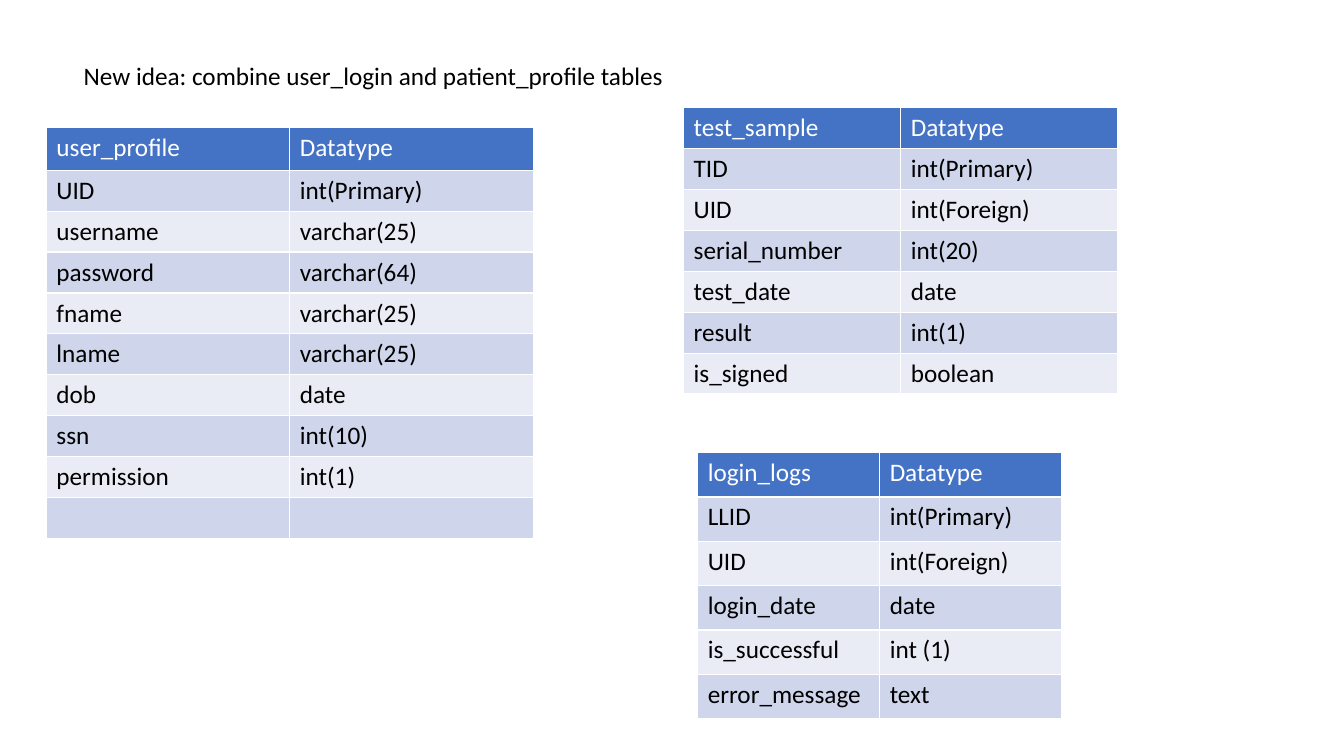
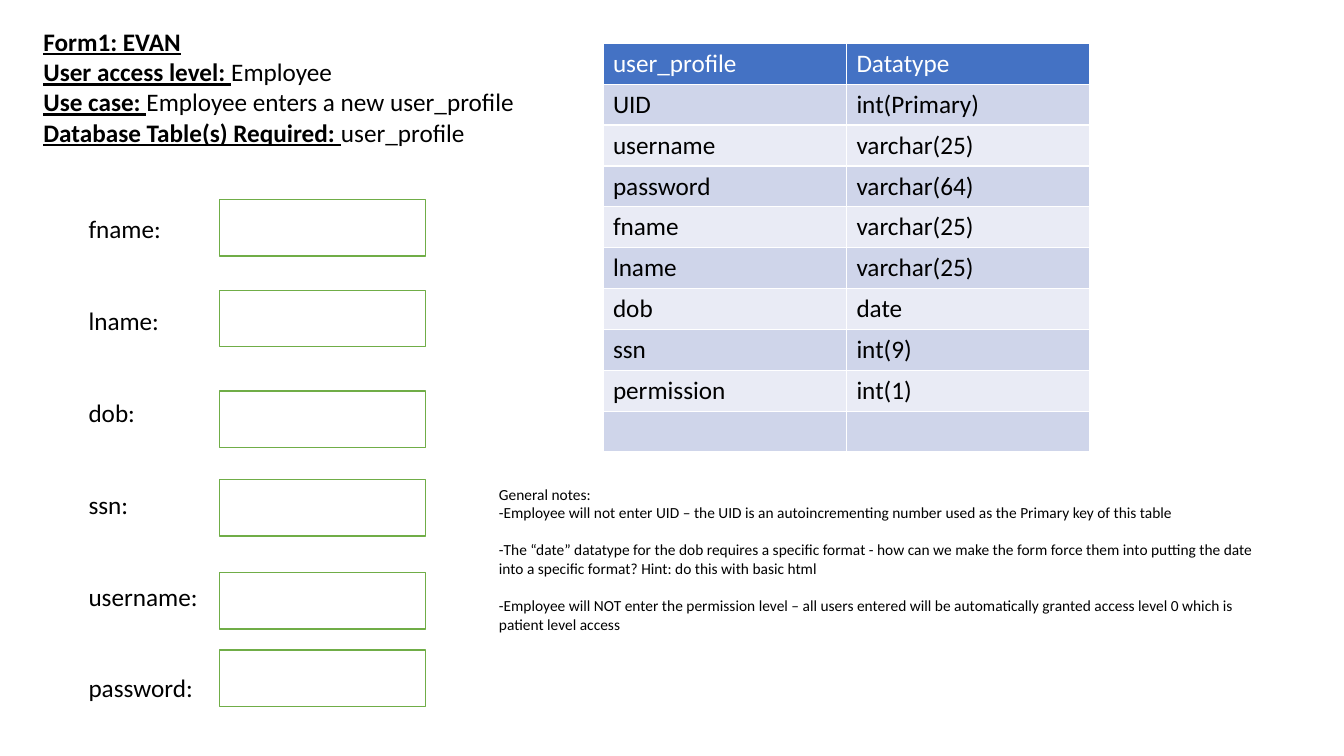
from pptx import Presentation
from pptx.dml.color import RGBColor
from pptx.enum.shapes import MSO_SHAPE
from pptx.enum.text import MSO_ANCHOR, MSO_AUTO_SIZE, PP_ALIGN
from pptx.util import Inches, Pt

# Shared style
FONT = "Calibri"
BLACK, WHITE = "000000", "FFFFFF"
HEADER_BLUE, FIELD_GREEN = "4472C4", "70AD47"
ROW_BANDS = ["E9EBF5", "CFD5EA"]


def rgb(value):
    return RGBColor.from_string(value)


def write(frame, lines, size=18, color=BLACK, gaps=None):
    """Each line is a (lead, rest) pair with an emphasised lead, or a plain string."""
    frame.word_wrap = True
    frame.auto_size = MSO_AUTO_SIZE.NONE
    frame.vertical_anchor = MSO_ANCHOR.TOP
    for index, line in enumerate(lines):
        paragraph = frame.paragraphs[0] if index == 0 else frame.add_paragraph()
        paragraph.alignment = PP_ALIGN.LEFT
        paragraph.space_before = Pt(gaps[index] if gaps else 0)
        lead, rest = ("", line) if isinstance(line, str) else line
        for text, emphasised in ((lead, True), (rest, False)):
            if text:
                run = paragraph.add_run()
                run.text = text
                run.font.name = FONT
                run.font.size = Pt(size)
                run.font.color.rgb = rgb(color)
                run.font.bold = run.font.underline = emphasised


# Database tables
def user_profile(ssn_type):
    return [
        ("UID", "int(Primary)"), ("username", "varchar(25)"),
        ("password", "varchar(64)"), ("fname", "varchar(25)"),
        ("lname", "varchar(25)"), ("dob", "date"), ("ssn", ssn_type),
        ("permission", "int(1)"), ("", ""),
    ]


login_logs = [
    ("LLID", "int(Primary)"), ("UID", "int(Foreign)"), ("login_date", "date"),
    ("is_successful", "int (1)"), ("error_message", "text"),
]
test_sample = [
    ("TID", "int(Primary)"), ("UID", "int(Foreign)"),
    ("serial_number", "int(20)"), ("test_date", "date"),
    ("result", "int(1)"), ("is_signed", "boolean"),
]

prs = Presentation()
prs.slide_width, prs.slide_height = Inches(13.33), Inches(7.5)

# Slides with their headings
headings = [
    ((0.73, 0.55, 10.36, 0.71),
     ["New idea: combine user_login and patient_profile tables"]),
    ((0.33, 0.21, 9.78, 1.31),
     [("Form1: EVAN", ""),
      ("User access level: ", "Employee"),
      ("Use case: ", "Employee enters a new user_profile"),
      ("Database Table(s) Required: ", "user_profile")]),
]
for box, lines in headings:
    slide = prs.slides.add_slide(prs.slide_layouts[5])
    heading = slide.shapes.title
    heading.left, heading.top, heading.width, heading.height = map(Inches, box)
    write(heading.text_frame, lines)
schema, form = prs.slides

# Schema tables: slide, name, rows, left, top, width, header height, row height
placements = [
    (schema, "user_profile", user_profile("int(10)"), 0.46, 1.26, 4.83, 0.43, 0.4),
    (schema, "login_logs", login_logs, 6.92, 4.49, 3.61, 0.44, 0.44),
    (schema, "test_sample", test_sample, 6.78, 1.07, 4.31, 0.4, 0.4),
    (form, "user_profile", user_profile("int(9)"), 5.98, 0.43, 4.83, 0.4, 0.4),
]
for slide, name, fields, left, top, width, header_height, row_height in placements:
    rows = [(name, "Datatype")] + fields
    height = header_height + row_height * len(fields)
    table = slide.shapes.add_table(
        len(rows), 2, Inches(left), Inches(top), Inches(width), Inches(height)).table
    for r, row in enumerate(rows):
        table.rows[r].height = Inches(row_height if r else header_height)
        for c, text in enumerate(row):
            cell = table.cell(r, c)
            cell.fill.solid()
            cell.fill.fore_color.rgb = rgb(ROW_BANDS[r % 2] if r else HEADER_BLUE)
            if text:
                write(cell.text_frame, [text], color=BLACK if r else WHITE)

# Form labels, two line heights apart
labels = ["fname:", "lname:", "dob:", "ssn:", "username:", "password:"]
label_box = form.shapes.add_textbox(Inches(0.78), Inches(2.07), Inches(2.04), Inches(4.95))
write(label_box.text_frame, labels, gaps=[0] + [44] * (len(labels) - 1))

# Form input fields
for top in (1.98, 2.88, 3.88, 4.76, 5.68, 6.45):
    field = form.shapes.add_shape(
        MSO_SHAPE.RECTANGLE, Inches(2.18), Inches(top), Inches(2.04), Inches(0.56))
    field.shadow.inherit = False
    field.fill.solid()
    field.fill.fore_color.rgb = rgb(WHITE)
    field.line.color.rgb = rgb(FIELD_GREEN)
    field.line.width = Pt(1)

# General notes
notes = [
    "General notes:",
    "-Employee will not enter UID – the UID is an autoincrementing number used as "
    "the Primary key of this table",
    "-The “date” datatype for the dob requires a specific format - how can we make "
    "the form force them into putting the date into a specific format? "
    "Hint: do this with basic html",
    "-Employee will NOT enter the permission level – all users entered will be "
    "automatically granted access level 0 which is patient level access",
]
notes_box = form.shapes.add_textbox(Inches(4.85), Inches(4.76), Inches(7.85), Inches(1.58))
write(notes_box.text_frame, notes, size=11, gaps=[0, 0, 13.4, 13.4])

prs.save("out.pptx")
